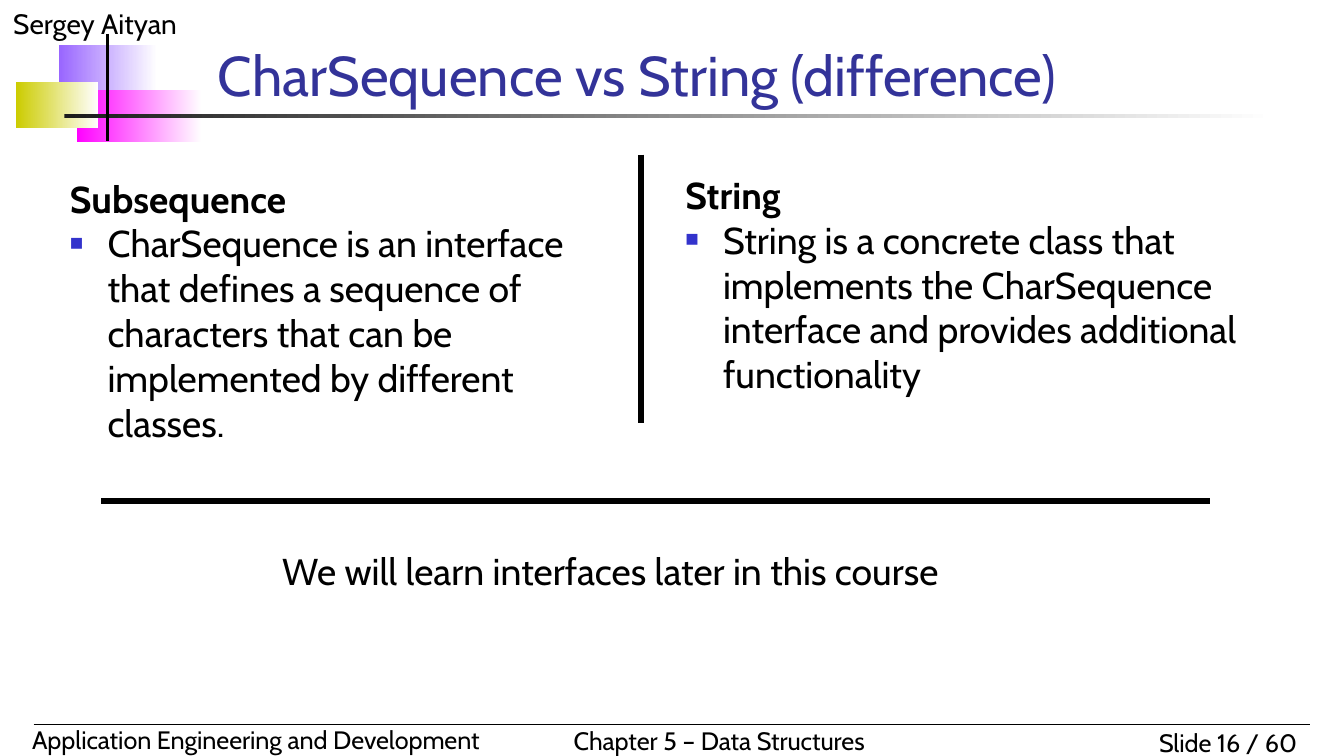
from lxml.etree import SubElement as Sub
from pptx import Presentation
from pptx.dml.color import RGBColor as Rgb
from pptx.enum.shapes import MSO_CONNECTOR as Link, MSO_SHAPE as Kind
from pptx.enum.text import MSO_ANCHOR as Anchor, MSO_AUTO_SIZE as Fit, PP_ALIGN as Align
from pptx.oxml.ns import qn
from pptx.util import Inches, Pt

HUE = {"ink": "000000", "title": "333399", "mark": "3333CC", "white": "FFFFFF",
       "violet": "9966FF", "pink": "FF00FF", "olive": "CCCC00", "rule": "1C1C1C"}
FONT = "Cabin"
WIDE = Inches(10)
HIGH = WIDE * 9 // 16

BANDS = [
    ("violet", (4.4, 5.9, 7.3, 6.9)),
    ("pink", (5.7, 11.85, 9.3, 6.9)),
    ("olive", (1.2, 10.8, 6.1, 6.2)),
    ("rule", (4.8, 15.1, 90, 0.5)),
]
LABELS = [
    ("Sergey Aityan", (0, 0, 25, 6.2), 15, Align.LEFT, True),
    ("Slide 16 / 60", (82.5, 95.35, 15, 5.87), 13.5, Align.RIGHT, True),
    ("Application Engineering and Development", (1.4, 94.9, 37, 5.87), 13.5, Align.LEFT, True),
    ("Chapter 5 – Data Structures", (41.7, 95.11, 25.4, 5.87), 13.5, Align.LEFT, False),
]
LINES = [
    ((2.5, 95.83, 97.5, 95.83), 0.75),
    ((8, 4.44, 8, 18.67), 2),
    ((47.7, 20.44, 47.7, 56), 3),
    ((90, 66.3, 7.5, 66.3), 3),
]
TITLE = ("CharSequence vs String (difference)", (15.2, 5.5, 73.5, 9.6))
BODIES = [
    (None, "We will learn interfaces later in this course", (20, 71.64, 74.7, 12.1)),
    ("Subsequence", "CharSequence is an interface that defines a sequence of characters "
     "that can be implemented by different classes.", (4.2, 22.35, 43.6, 37.16)),
    ("String", "String is a concrete class that implements the CharSequence interface "
     "and provides additional functionality", (50, 21.87, 43.6, 37.16)),
]


def scale(box):
    return [int(part * (HIGH if i % 2 else WIDE) / 100) for i, part in enumerate(box)]


def place(shape, box):
    for name, value in zip(("left", "top", "width", "height"), scale(box)):
        setattr(shape, name, value)


def setup(shape, anchor=Anchor.TOP, wrap=True):
    frame = shape.text_frame
    form = {"auto_size": Fit.NONE, "word_wrap": wrap, "vertical_anchor": anchor}
    for name, value in form.items():
        setattr(frame, name, value)
    return frame


def write(para, text, size, hue="ink", bold=False, align=Align.LEFT):
    para.alignment = align
    para.space_before = Pt(0)
    run = para.add_run()
    run.text = text
    for name, value in {"name": FONT, "size": Pt(size), "bold": bold}.items():
        setattr(run.font, name, value)
    run.font.color.rgb = Rgb.from_string(HUE[hue])


def mark(para, on):
    props = para._p.get_or_add_pPr()
    dent = Inches(0.28) if on else 0
    props.set("marL", str(dent))
    props.set("indent", str(-dent))
    if not on:
        Sub(props, qn("a:buNone"))
        return
    tint = Sub(props, qn("a:buClr"))
    Sub(tint, qn("a:srgbClr"), val=HUE["mark"])
    Sub(props, qn("a:buSzPct"), val="60000")
    Sub(props, qn("a:buFont"), typeface="Arial")
    Sub(props, qn("a:buChar"), char="■")


def main():
    deck = Presentation()
    deck.slide_width, deck.slide_height = WIDE, HIGH
    slide = deck.slides.add_slide(deck.slide_layouts[4])
    shapes = slide.shapes
    title, *slots = list(slide.placeholders)

    for hue, box in BANDS:
        band = shapes.add_shape(Kind.RECTANGLE, *scale(box))
        band.shadow.inherit = False
        band.line.fill.background()
        band.fill.gradient()
        band.fill.gradient_angle = 0
        for stop, tone in zip(band.fill.gradient_stops, (hue, "white")):
            stop.color.rgb = Rgb.from_string(HUE[tone])

    for text, box, size, align, wrap in LABELS:
        frame = setup(shapes.add_textbox(*scale(box)), wrap=wrap)
        write(frame.paragraphs[0], text, size, align=align)

    for ends, width in LINES:
        line = shapes.add_connector(Link.STRAIGHT, *scale(ends))
        line.line.color.rgb = Rgb.from_string(HUE["ink"])
        line.line.width = Pt(width)
        Sub(line._element.spPr, qn("a:effectLst"))

    text, box = TITLE
    place(title, box)
    write(setup(title, Anchor.BOTTOM).paragraphs[0], text, 30, "title")

    for slot, (head, text, box) in zip(slots, BODIES):
        place(slot, box)
        frame = setup(slot)
        para = frame.paragraphs[0]
        if head:
            write(para, head, 20, bold=True)
            mark(para, False)
            para = frame.add_paragraph()
        write(para, text, 20)
        mark(para, bool(head))

    for slot in slots[len(BODIES):]:
        slot._element.getparent().remove(slot._element)
    deck.save("out.pptx")


if __name__ == "__main__":
    main()
